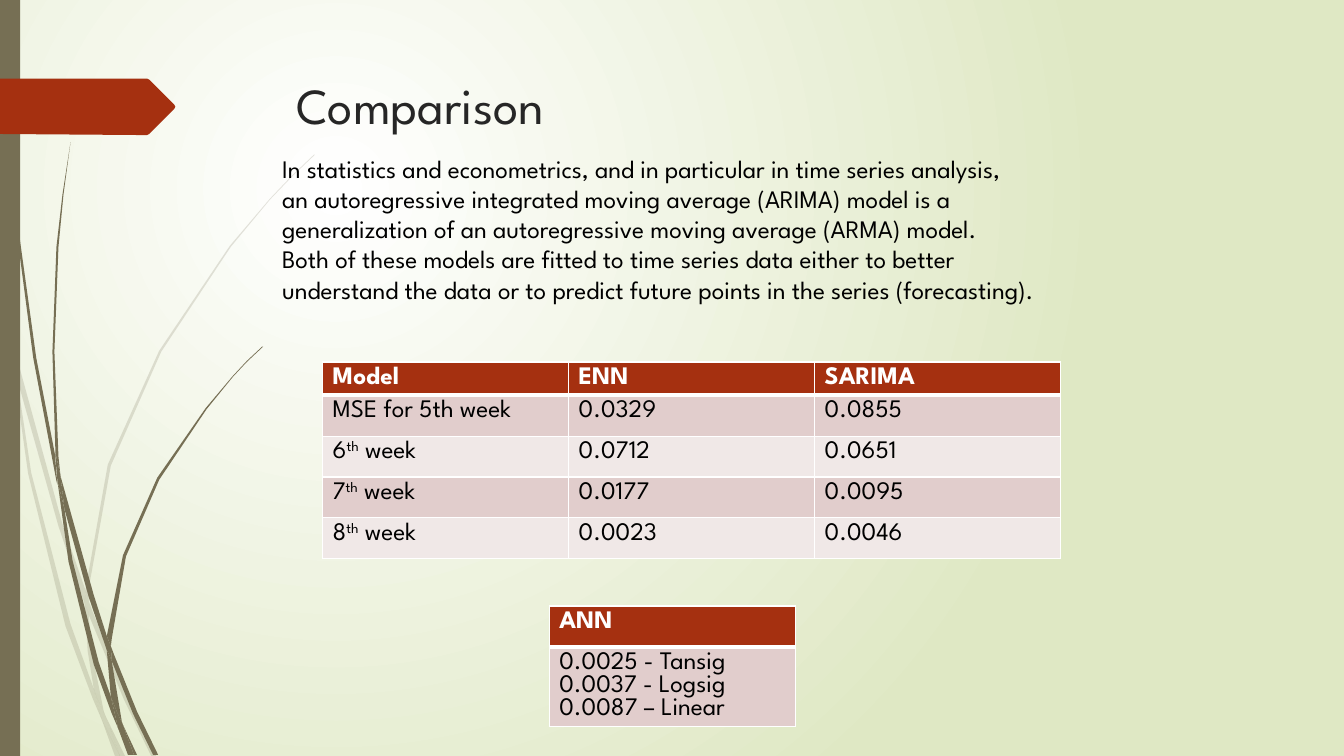
import pptx
import pptx.util
import pptx.dml.color
import pptx.enum.shapes
import pptx.enum.text
import pptx.oxml
import pptx.oxml.ns

Cm = pptx.util.Cm
Pt = pptx.util.Pt
RGB = pptx.dml.color.RGBColor
qn = pptx.oxml.ns.qn

WHITE = RGB(0xFF, 0xFF, 0xFF)
BLACK = RGB(0, 0, 0)
DARK = RGB(0x26, 0x26, 0x26)
OLIVE = RGB(0x76, 0x6F, 0x54)
RUST = RGB(0xA5, 0x30, 0x10)
ROSE = RGB(0xE1, 0xCD, 0xCC)
PALE = RGB(0xF0, 0xE8, 0xE7)
LIME = RGB(0xDF, 0xE8, 0xC4)
FONT = "League Spartan"
XMLNS = 'xmlns:a="http://schemas.openxmlformats.org/drawingml/2006/main"'

FAINT = [
    "11 350 9 322 0 282 0 299 10 344",
    "58 522 84 599 85 586 62 520 14 345 17 376",
    "92 607 88 596 88 610 123 694 150 750 155 750 127 692",
    "119 750 124 750 105 711",
    "93 683 70 619 31 469 17 376 11 350 28 470 65 621 92 693 101 714 99 707",
    "84 599 87 646 93 683 96 692 105 711 103 706 91 646 88 610 88 608",
    "88 584 110 462 160 349 229 245 268 198 290 175 312 154 312 153 289 175 268 197 "
    "228 244 158 348 107 461 85 584 85 586 88 596",
    "101 714 114 750 119 750",
    "88 608 88 610 88 596 85 586 84 599",
    "96 692 93 683 99 707 101 714 119 750 105 711",
]
BOLD = [
    "7 110 17 233 33 355 56 477 57 481 55 457 55 453 36 355 19 232 8 109 5 48 4 0 3 0 4 48",
    "88 592 106 645 106 633 106 631 93 590 60 472 64 505",
    "113 649 110 641 111 656 132 708 152 749 157 749 136 706",
    "110 691 98 657 72 556 64 505 57 477 68 557 93 659 111 708 117 722 116 717",
    "60 472 58 453 54 349 58 245 63 193 70 141 62 193 56 245 52 349 55 449",
    "133 749 136 749 122 719",
    "57 477 64 505 60 472 55 449 55 453",
    "111 633 125 552 158 476 205 406 231 374 245 359 261 344 260 344 245 358 231 373 "
    "204 405 156 474 122 551 106 631 110 641",
    "117 722 127 749 131 749",
    "106 645 110 691 116 706 122 719 121 716 111 656 109 651",
    "106 645 109 651 111 656 110 641 106 631 106 633",
    "116 706 110 691 116 717 117 722 130 749 133 749 122 719",
]
ARROW = ("173 108 148 133 146 134 136 134 0 133 0 78 136 78 146 78 "
         "148 79 173 104 174 106")

INTRO = """In statistics and econometrics, and in particular in time series analysis,
an autoregressive integrated moving average (ARIMA) model is a
generalization of an autoregressive moving average (ARMA) model.
Both of these models are fitted to time series data either to better
understand the data or to predict future points in the series (forecasting)."""

SCORES = [
    ["Model", "ENN", "SARIMA"],
    ["MSE for 5th week", "0.0329", "0.0855"],
    ["6^th^ week", "0.0712", "0.0651"],
    ["7^th^ week", "0.0177", "0.0095"],
    ["8^th^ week", "0.0023", "0.0046"],
]
NETS = [["ANN"], ["0.0025 - Tansig\n0.0037 - Logsig\n0.0087 – Linear"]]


def write(frame, text, size=18, color=BLACK, bold=False, pitch=None):
    frame.word_wrap = True
    for i, line in enumerate(text.split("\n")):
        para = frame.add_paragraph() if i else frame.paragraphs[0]
        para.alignment = pptx.enum.text.PP_ALIGN.LEFT
        if pitch:
            para.line_spacing = Pt(pitch)
        for j, part in enumerate(line.split("^")):
            run = para.add_run()
            run.text = part
            font = run.font
            font.name, font.size, font.bold = FONT, Pt(size), bold
            font.color.rgb = color
            if j % 2:
                font._element.set("baseline", "30000")


class Page:
    def __init__(self, deck):
        self.slide = deck.slides.add_slide(deck.slide_layouts[5])
        self.shapes = self.slide.shapes

    def glow(self, inner, outer):
        fill = self.slide.background.fill
        fill.gradient()
        for stop, color in zip(fill.gradient_stops, (inner, outer)):
            stop.color.rgb = color
        grad = self.slide._element.find(".//" + qn("a:gradFill"))
        grad.replace(grad.find(qn("a:lin")), pptx.oxml.parse_xml(
            f'<a:path {XMLNS} path="circle"><a:fillToRect l="50000" t="50000" '
            'r="100000" b="100000"/></a:path>'))

    def paint(self, shape, color):
        shape.shadow.inherit = False
        shape.fill.solid()
        shape.fill.fore_color.rgb = color
        shape.line.fill.background()

    def bar(self, left, top, width, height, color):
        kind = pptx.enum.shapes.MSO_SHAPE.RECTANGLE
        self.paint(self.shapes.add_shape(kind, left, top, width, height), color)

    def blade(self, text, color, alpha=None):
        nums = [int(n) for n in text.split()]
        spots = list(zip(nums[::2], nums[1::2]))
        pen = self.shapes.build_freeform(*spots[0], scale=Cm(0.0254))
        pen.add_line_segments(spots[1:])
        shape = pen.convert_to_shape()
        self.paint(shape, color)
        if alpha:
            tint = shape._element.spPr.find(qn("a:solidFill"))[0]
            tint.append(pptx.oxml.parse_xml(f'<a:alpha {XMLNS} val="{alpha * 1000}"/>'))

    def title(self, text, left, top, width, height):
        box = self.shapes.title
        box.left, box.top, box.width, box.height = left, top, width, height
        box.text_frame.vertical_anchor = pptx.enum.text.MSO_ANCHOR.TOP
        write(box.text_frame, text, size=36, color=DARK)

    def note(self, text, left, top, width, height):
        box = self.shapes.add_textbox(left, top, width, height)
        write(box.text_frame, text)

    def edge(self, cell, head):
        props = cell._tc.get_or_add_tcPr()
        for i, side in enumerate(("lnL", "lnR", "lnT", "lnB")):
            wide = Pt(3) if head and side == "lnB" else Pt(1)
            props.insert(i, pptx.oxml.parse_xml(
                f'<a:{side} {XMLNS} w="{wide}"><a:solidFill>'
                f'<a:srgbClr val="{WHITE}"/></a:solidFill></a:{side}>'))

    def grid(self, rows, left, top, width, highs):
        count = len(rows[0])
        table = self.shapes.add_table(
            len(rows), count, left, top, width * count, sum(highs)).table
        for r, row in enumerate(rows):
            table.rows[r].height = highs[r]
            for c, text in enumerate(row):
                cell = table.cell(r, c)
                cell.fill.solid()
                cell.fill.fore_color.rgb = (ROSE if r % 2 else PALE) if r else RUST
                write(cell.text_frame, text, bold=r == 0, color=BLACK if r else WHITE)
                self.edge(cell, r == 0)
        for col in table.columns:
            col.width = width


def main():
    deck = pptx.Presentation()
    deck.slide_width, deck.slide_height = Cm(33.87), Cm(19.05)
    page = Page(deck)
    page.glow(WHITE, LIME)
    for text in FAINT:
        page.blade(text, OLIVE, alpha=20)
    for text in BOLD:
        page.blade(text, OLIVE)
    page.bar(0, 0, Cm(0.51), Cm(19.05), OLIVE)
    page.blade(ARROW, RUST)
    page.title("Comparison", Cm(7.21), Cm(1.73), Cm(24.77), Cm(3.56))
    page.grid(SCORES, Cm(8.13), Cm(9.12), Cm(6.2), [Cm(0.83)] + [Cm(1.03)] * 4)
    page.grid(NETS, Cm(13.84), Cm(15.27), Cm(6.2), [Cm(1.03), Cm(2.01)])
    page.note(INTRO, Cm(6.86), Cm(3.73), Cm(23.11), Cm(4.11))
    deck.save("out.pptx")


if __name__ == "__main__":
    main()
